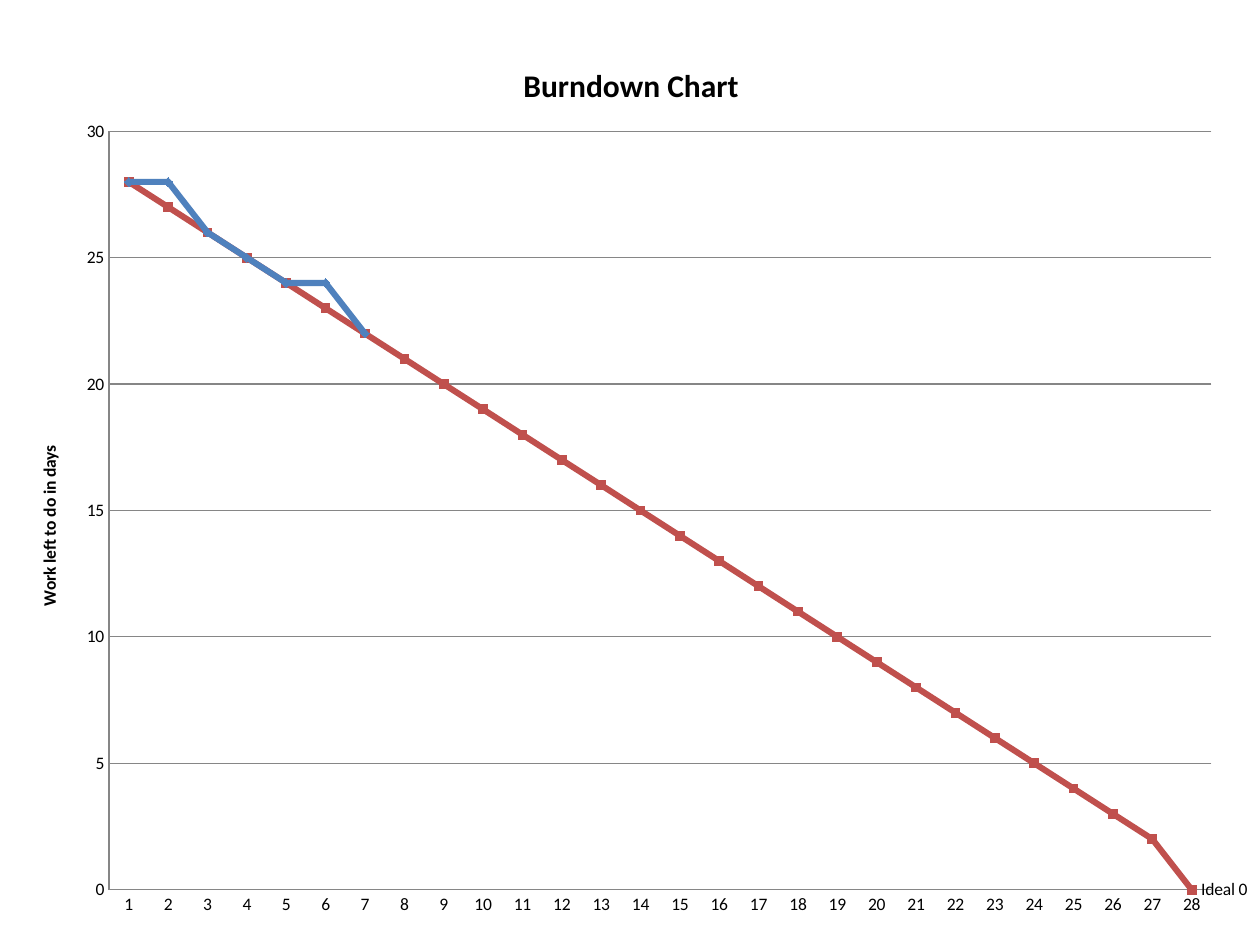
import pptx
import pptx.chart.data
import pptx.dml.color
import pptx.enum.chart
import pptx.oxml
import pptx.oxml.ns
import pptx.util

DAYS = 28
IDEAL = [*range(DAYS, 1, -1), 0]
ACTUAL = [28, 28, 26, 25, 24, 24, 22]
INK, GRID, RED, BLUE = "000000", "868686", "C0504D", "4F81BD"
Marker = pptx.enum.chart.XL_MARKER_STYLE


def colour(hex_value):
    return pptx.dml.color.RGBColor.from_string(hex_value)


def chart_xml(tag, value):
    namespace = pptx.oxml.ns.nsdecls("c")
    return pptx.oxml.parse_xml(f'<c:{tag} {namespace} val="{value}"/>')


class Deck:
    font, text_size, title_size = "Calibri", 10, 18

    def __init__(self, width, height):
        self.file = pptx.Presentation()
        self.file.slide_width = pptx.util.Inches(width)
        self.file.slide_height = pptx.util.Inches(height)
        self.slide = self.file.slides.add_slide(self.file.slide_layouts[6])

    def line_chart(self, left, top, width, height, categories, series):
        """Add a line chart; its box is given as shares of the slide."""
        data = pptx.chart.data.CategoryChartData()
        data.categories = categories
        for name, values in series.items():
            data.add_series(name, values)
        across, down = self.file.slide_width, self.file.slide_height
        chart = self.slide.shapes.add_chart(
            pptx.enum.chart.XL_CHART_TYPE.LINE_MARKERS,
            int(left * across), int(top * down),
            int(width * across), int(height * down), data).chart
        chart.has_legend = False
        chart.plots[0].vary_by_categories = False
        self.style(chart.font, self.text_size, False)
        return chart

    def style(self, font, size, bold):
        font.name, font.size, font.bold = self.font, pptx.util.Pt(size), bold
        font.color.rgb = colour(INK)

    def title(self, owner, frame, text, size):
        frame.text = text
        self.style(frame.paragraphs[0].font, size, True)

    def line(self, line_format, hex_value, width):
        line_format.color.rgb = colour(hex_value)
        line_format.width = pptx.util.Pt(width)

    def axis(self, axis):
        axis.major_tick_mark = pptx.enum.chart.XL_TICK_MARK.NONE
        axis.minor_tick_mark = pptx.enum.chart.XL_TICK_MARK.NONE
        self.line(axis.format.line, GRID, 0.75)

    def series(self, series, hex_value, marker):
        series.smooth = False
        self.line(series.format.line, hex_value, 3.5)
        series.marker.style, series.marker.size = marker, 5
        series.marker.format.fill.solid()
        series.marker.format.fill.fore_color.rgb = colour(hex_value)
        self.line(series.marker.format.line, hex_value, 0.75)

    def place(self, part, **shares):
        """Fix a chart part by shares of the chart's box."""
        for old in part.xpath("c:layout"):
            part.remove(old)
        layout = pptx.oxml.parse_xml(
            f'<c:layout {pptx.oxml.ns.nsdecls("c")}><c:manualLayout/></c:layout>')
        if "w" in shares:
            layout[0].append(chart_xml("layoutTarget", "inner"))
        for mode in ("xMode", "yMode"):
            layout[0].append(chart_xml(mode, "edge"))
        for key, share in shares.items():
            layout[0].append(chart_xml(key, share))
        part.insert(len(part.xpath("c:tx")), layout)


deck = Deck(10, 7.5)

# Burndown data
burndown = deck.line_chart(
    0.008, 0.023, 0.983, 0.967, [str(day) for day in range(1, DAYS + 1)],
    {"Ideal": IDEAL, "Actual": ACTUAL + [None] * (DAYS - len(ACTUAL))})
ideal, actual = burndown.plots[0].series
deck.series(ideal, RED, Marker.SQUARE)
deck.series(actual, BLUE, Marker.DIAMOND)

# Axes and gridlines
days, work_left = burndown.category_axis, burndown.value_axis
for axis in (days, work_left):
    deck.axis(axis)
work_left.minimum_scale, work_left.maximum_scale = 0, 30
work_left.major_unit = 5
work_left.has_major_gridlines = True
deck.line(work_left.major_gridlines.format.line, GRID, 0.75)

# Titles and plot position
burndown.has_title = True
deck.title(burndown, burndown.chart_title.text_frame, "Burndown Chart", deck.title_size)
deck.title(work_left, work_left.axis_title.text_frame,
           "Work left to do in days", deck.text_size)
root = burndown.element
heading = root.xpath("c:chart/c:title")[0]
work_title = root.xpath(".//c:valAx/c:title")[0]
turned = work_title.xpath(".//a:bodyPr")[0]
turned.set("rot", "-5400000")
turned.set("vert", "horz")
deck.place(heading, x=0.41, y=0.04)
deck.place(work_title, x=0.02, y=0.46)
deck.place(root.xpath(".//c:plotArea")[0], x=0.08, y=0.12, w=0.89, h=0.83)

# Label on the last ideal day
ideal.points[DAYS - 1].data_label.position = pptx.enum.chart.XL_LABEL_POSITION.RIGHT
ideal.data_labels.show_value = False
last_day = root.xpath(".//c:dLbl")[0]
last_day.xpath("c:showVal")[0].set("val", "1")
last_day.xpath("c:showSerName")[0].set("val", "1")
separator = pptx.oxml.parse_xml(
    f'<c:separator {pptx.oxml.ns.nsdecls("c")}> </c:separator>')
separator.text = " "
last_day.append(separator)

deck.file.save("out.pptx")
